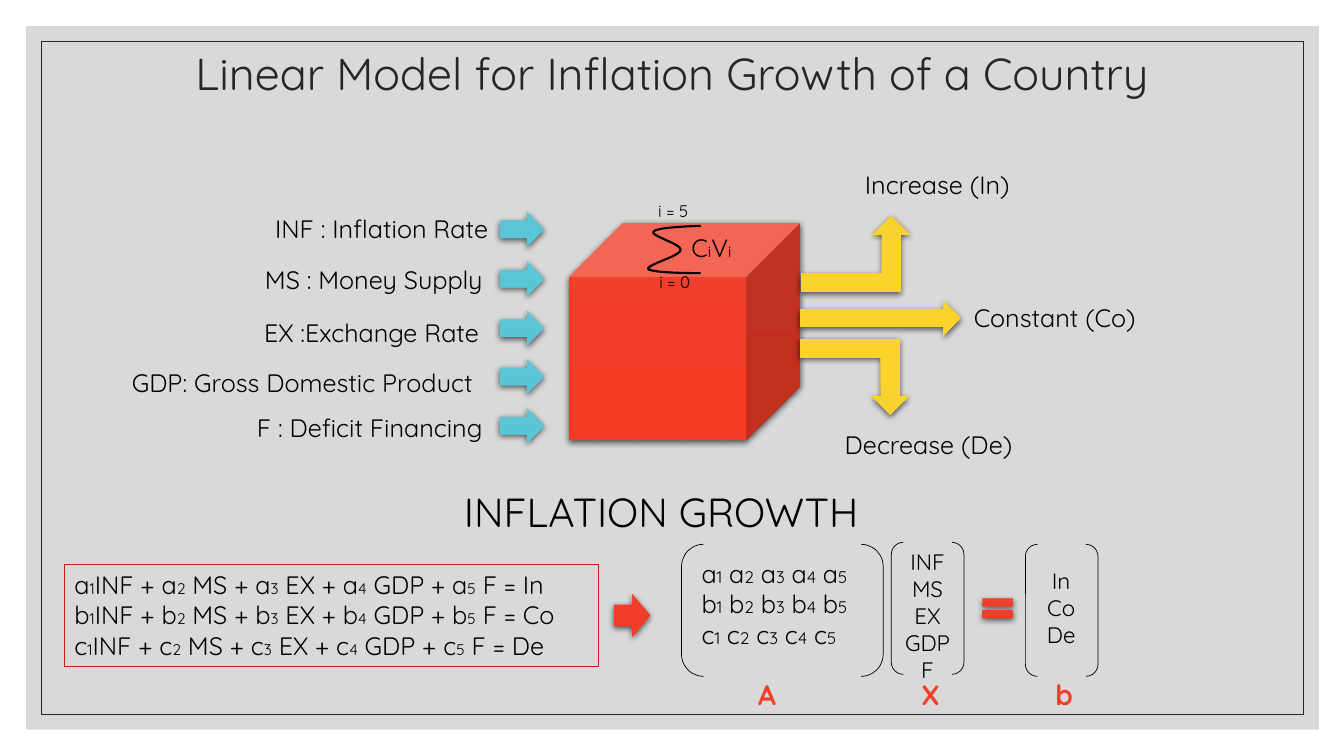
from lxml import etree
from pptx import Presentation
from pptx import util as u
from pptx.dml.color import RGBColor
from pptx.enum import shapes, text
from pptx.oxml import ns

PX = 9144  # 100 px to the inch
FONT = "Quicksand"
BLACK, DARK = "000000", "262626"
RED, BLUE, YELLOW = ("F03F2B", "F33B26"), ("5CC6D6", "58C6D7"), ("F8D22F", "FBD32A")
SHAPE = shapes.MSO_SHAPE
CENTER, LEFT = text.PP_ALIGN.CENTER, text.PP_ALIGN.LEFT
SHADOW = (
    f'<a:effectLst {ns.nsdecls("a")}><a:outerShdw blurRad="57150" dist="19050" '
    'dir="5400000" algn="ctr" rotWithShape="0"><a:srgbClr val="000000">'
    '<a:alpha val="63000"/></a:srgbClr></a:outerShdw></a:effectLst>'
)

prs = Presentation()
prs.slide_width, prs.slide_height = 1333 * PX, 750 * PX
slide = prs.slides.add_slide(prs.slide_layouts[5])
color = RGBColor.from_string


def add_block(kind, box, gradient=None, line=None, weight=0.5):
    """Preset shape: shaded with a shadow, or an outline only."""
    block = slide.shapes.add_shape(kind, *[v * PX for v in box])
    block.shadow.inherit = False
    if gradient:
        block.fill.gradient()
        block.fill.gradient_angle = 270
        for stop, shade in zip(block.fill.gradient_stops, gradient):
            stop.color.rgb = color(shade)
        props = block.element.spPr
        props.replace(props.find(ns.qn("a:effectLst")), etree.fromstring(SHADOW))
    else:
        block.fill.background()
    if line:
        block.line.color.rgb = color(line)
        block.line.width = u.Pt(weight)
    else:
        block.line.fill.background()
    return block


def add_label(box, lines, size=18, small=11, align=LEFT, shade=BLACK, bold=False):
    """Text box; the character after an underscore is set as a small index."""
    label = slide.shapes.add_textbox(*[v * PX for v in box])
    frame = label.text_frame
    frame.word_wrap = False
    frame.auto_size = text.MSO_AUTO_SIZE.SHAPE_TO_FIT_TEXT
    for i, line in enumerate(lines):
        para = frame.paragraphs[0] if i == 0 else frame.add_paragraph()
        para.alignment = align
        first, *indexed = line.split("_")
        pieces = [(first, size)]
        for part in indexed:
            pieces += [(part[0], small), (part[1:], size)]
        for words, points in pieces:
            if words:
                run = para.add_run()
                run.text = words
                run.font.name, run.font.size, run.font.bold = FONT, u.Pt(points), bold
                run.font.color.rgb = color(shade)
    return label


# Title over the framed panel
title = slide.shapes.title
title.left, title.top, title.width, title.height = [v * PX for v in (117, 0, 1100, 150)]
title.text_frame.text = "Linear Model for Inflation Growth of a Country"
title.text_frame.vertical_anchor = text.MSO_ANCHOR.MIDDLE
heading = title.text_frame.paragraphs[0]
heading.alignment, heading.line_spacing = CENTER, 0.9
heading.font.name, heading.font.size = FONT, u.Pt(32)
heading.font.color.rgb = color(DARK)

panel = add_block(SHAPE.RECTANGLE, (26, 26, 1282, 698))
panel.fill.solid()
panel.fill.fore_color.rgb = color("D9D9D9")
frame_line = add_block(SHAPE.RECTANGLE, (41, 41, 1252, 668), line=DARK)
for backdrop in (panel, frame_line):
    title.element.addprevious(backdrop.element)

# Model cube
add_block(SHAPE.CUBE, (564, 221, 230, 216), RED)

# Inputs with their arrows
inputs = [
    (263, 207, 240, "INF : Inflation Rate"),
    (253, 257, 250, "MS : Money Supply"),
    (252, 310, 251, "EX :Exchange Rate"),
    (121, 359, 382, "GDP: Gross Domestic Product"),
    (245, 404, 258, "F : Deficit Financing"),
]
for i, (left, top, width, name) in enumerate(inputs):
    add_block(SHAPE.RIGHT_ARROW, (496, 210 + round(48.75 * i), 44, 35), BLUE)
    add_label((left, top, width, 40), [name])

# Outputs with their arrows
add_block(SHAPE.BENT_UP_ARROW, (794, 214, 109, 76), YELLOW)
down_arrow = add_block(SHAPE.BENT_UP_ARROW, (793, 336, 109, 76), YELLOW)
down_arrow.element.spPr.xfrm.set("flipV", "1")
add_block(SHAPE.RIGHT_ARROW, (793, 298, 160, 35), YELLOW)
add_label((848, 163, 172, 40), ["Increase (In)"])
add_label((956, 295, 202, 40), ["Constant (Co)"])
add_label((828, 421, 200, 40), ["Decrease (De)"])

# Sum sign on the cube, traced along Bézier curves
start = (695, 271)
curves = [
    [(671, 271), (647, 270), (643, 267)],
    [(640, 263), (675, 254), (675, 248)],
    [(676, 242), (645, 234), (648, 230)],
    [(651, 226), (673, 225), (695, 224)],
]
sum_points = []
corner = start
for c1, c2, end in curves:
    for t in [step / 12 for step in range(1, 13)]:
        s = 1 - t
        sum_points.append([
            round((s**3 * p + 3 * s * s * t * q + 3 * s * t * t * r + t**3 * e) * PX)
            for p, q, r, e in zip(corner, c1, c2, end)
        ])
    corner = end
builder = slide.shapes.build_freeform(start[0] * PX, start[1] * PX)
builder.add_line_segments(sum_points, close=False)
sum_sign = builder.convert_to_shape()
sum_sign.shadow.inherit = False
sum_sign.fill.background()
sum_sign.line.color.rgb = color(BLACK)
sum_sign.line.width = u.Pt(1.5)
add_label((643, 194, 52, 30), ["i = 5"], 12)
add_label((644, 265, 52, 30), ["i = 0"], 12)
add_label((676, 226, 65, 40), ["C_iV_i"])

# Section heading
growth = add_label((459, 483, 394, 79), ["INFLATION GROWTH"], 29, align=CENTER).text_frame
growth.auto_size = text.MSO_AUTO_SIZE.NONE
growth.margin_left = growth.margin_right = growth.margin_top = growth.margin_bottom = 0

# System of equations
results = {"a": "In", "b": "Co", "c": "De"}
equations = add_label(
    (64, 560, 530, 101),
    [f"{k}_1INF + {k}_2 MS + {k}_3 EX + {k}_4 GDP + {k}_5 F = {result}"
     for k, result in results.items()],
)
equations.line.color.rgb = color("C6210E")
equations.line.width = u.Pt(0.75)
add_block(SHAPE.RIGHT_ARROW, (609, 589, 36, 43), RED)

# Matrix form A X = b
for bracket in [(676, 540, 200, 131), (884, 538, 72, 131), (1017, 540, 72, 131)]:
    add_block(SHAPE.DOUBLE_BRACKET, bracket, line=BLACK)
coefficients = [" ".join(f"{k}_{n}" for n in range(1, 6)) for k in results]
add_label((686, 549, 181, 101), coefficients, small=12)
add_label((885, 539, 70, 148), ["INF", "MS", "EX", "GDP", "F"], 16, align=CENTER)
add_block(SHAPE.MATH_EQUAL, (969, 587, 41, 33), RED)
add_label((1026, 558, 53, 91), list(results.values()), 16, align=CENTER)
for left, width, name in [(742, 41, "A"), (904, 39, "X"), (1037, 39, "b")]:
    add_label((left, 667, width, 44), [name], 20, shade=RED[0], bold=True)

prs.save("out.pptx")
